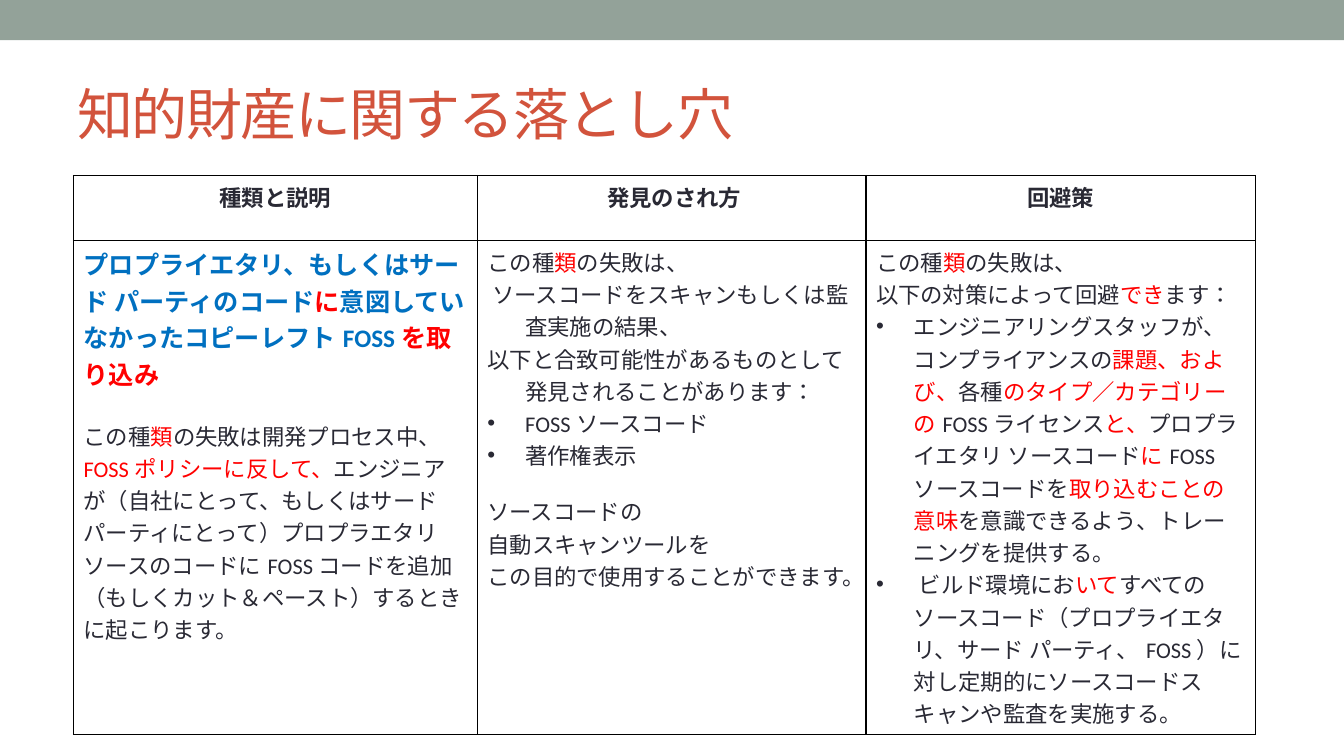
from lxml.etree import SubElement
from pptx import Presentation
from pptx.dml.color import RGBColor
from pptx.enum.lang import MSO_LANGUAGE_ID
from pptx.enum.shapes import MSO_SHAPE
from pptx.enum.text import MSO_ANCHOR, PP_ALIGN
from pptx.oxml.ns import qn
from pptx.util import Pt

INK, RED, BLUE = "292934", "FF0000", "0070C0"
BAND, TITLE, BORDER = "93A299", "D2533C", "000000"
HANGING = 27

TITLE_TEXT = "知的財産に関する落とし穴"
HEADERS = ["種類と説明", " 発見のされ方", "回避策"]
OPENING = ["この種", ("類", RED), "の失敗は、"]

PITFALL = [
    dict(text=["プロプライエタリ、もしくはサード パーティのコード", ("に", RED),
               "意図していなかったコピーレフトFOSS", ("を取り込み", RED)],
         size=18, bold=True, color=BLUE, hanging=0),
    dict(text=["この種", ("類", RED), "の失敗は開発プロセス中、",
               ("FOSSポリシーに反して、", RED),
               "エンジニアが（自社にとって、もしくはサード パーティにとって）"
               "プロプラエタリソースのコードにFOSSコードを追加"
               "（もしくカット＆ペースト）するときに起こります。"],
         hanging=0, before=20),
]
DISCOVERY = [
    dict(text=OPENING),
    dict(text=[" ソースコードをスキャンもしくは監査実施の結果、"]),
    dict(text=["以下と合致可能性があるものとして発見されることがあります："]),
    dict(text=["FOSSソースコード"], bullet=True),
    dict(text=["著作権表示"], bullet=True),
    dict(text=["ソースコードの"], before=17),
    dict(text=["自動スキャンツールを"]),
    dict(text=["この目的で使用することができます。"]),
]
AVOIDANCE = [
    dict(text=OPENING),
    dict(text=["以下の対策によって回避", ("でき", RED), "ます："]),
    dict(text=["エンジニアリングスタッフが、コンプライアンスの", ("課題、および、", RED),
               "各種", ("のタイプ／カテゴリーの", RED), "FOSSライセンス", ("と、", RED),
               "プロプライエタリ ソースコード", ("に", RED), "FOSSソースコードを",
               ("取り込むことの意味", RED), "を意識できるよう、トレーニングを提供する。"],
         bullet=True),
    dict(text=[" ビルド環境にお", ("いて", RED),
               "すべてのソースコード（プロプライエタリ、サード パーティ、FOSS）に対し"
               "定期的にソースコードスキャンや監査を実施する。"], bullet=True),
]
ROWS = [
    [[dict(text=[header], bold=True, align=PP_ALIGN.CENTER)] for header in HEADERS],
    [PITFALL, DISCOVERY, AVOIDANCE],
]

SLIDE_WIDTH, SLIDE_HEIGHT = 960, 540
TABLE_LEFT, TABLE_TOP = 52.56, 125.28
COLUMN_WIDTHS = [288.4, 277.6, 278]
ROW_HEIGHTS = [46.4, 353]


def rgb(color):
    return RGBColor.from_string(color)


def write(paragraph, text, size=16, color=INK, bold=False, align=PP_ALIGN.LEFT,
          hanging=HANGING, bullet=False, before=0, spacing=0):
    properties = paragraph._p.get_or_add_pPr()
    properties.set("marL", str(Pt(hanging)))
    properties.set("indent", str(-Pt(hanging)))
    if bullet:
        SubElement(properties, qn("a:buFont"), typeface="Arial")
        SubElement(properties, qn("a:buChar"), char="•")
    else:
        SubElement(properties, qn("a:buNone"))
    paragraph.alignment = align
    if before:
        paragraph.space_before = Pt(before)
    for piece in text:
        words, tint = (piece, color) if isinstance(piece, str) else piece
        run = paragraph.add_run()
        run.text = words
        font = run.font
        font.name, font.size, font.bold = "Calibri", Pt(size), bold
        font.color.rgb = rgb(tint)
        font.language_id = MSO_LANGUAGE_ID.JAPANESE
        if spacing:
            run._r.get_or_add_rPr().set("spc", str(spacing * 100))


def add_borders(cell):
    properties = cell._tc.get_or_add_tcPr()
    for side in ("lnL", "lnR", "lnT", "lnB"):
        line = SubElement(properties, qn(f"a:{side}"), w=str(Pt(1)))
        fill = SubElement(line, qn("a:solidFill"))
        SubElement(fill, qn("a:srgbClr"), val=BORDER)


def fill_cell(cell, paragraphs):
    add_borders(cell)
    cell.fill.background()
    cell.margin_left = cell.margin_right = Pt(7.2)
    cell.margin_top = cell.margin_bottom = Pt(3.6)
    frame = cell.text_frame
    for index, content in enumerate(paragraphs):
        write(frame.add_paragraph() if index else frame.paragraphs[0], **content)


presentation = Presentation()
presentation.slide_width, presentation.slide_height = Pt(SLIDE_WIDTH), Pt(SLIDE_HEIGHT)
slide = presentation.slides.add_slide(presentation.slide_layouts[6])

band = slide.shapes.add_shape(MSO_SHAPE.RECTANGLE, 0, 0, Pt(SLIDE_WIDTH), Pt(28.8))
band.shadow.inherit = False
band.fill.solid()
band.fill.fore_color.rgb = rgb(BAND)
band.line.fill.background()

title = slide.shapes.add_textbox(Pt(48), Pt(42), Pt(864), Pt(78))
title.text_frame.word_wrap = True
title.text_frame.vertical_anchor = MSO_ANCHOR.MIDDLE
write(title.text_frame.paragraphs[0], [TITLE_TEXT], size=40, color=TITLE,
      hanging=0, spacing=-1)

table = slide.shapes.add_table(
    len(ROWS), len(HEADERS), Pt(TABLE_LEFT), Pt(TABLE_TOP),
    Pt(sum(COLUMN_WIDTHS)), Pt(sum(ROW_HEIGHTS))).table
table.first_row = table.horz_banding = False
for column, width in zip(table.columns, COLUMN_WIDTHS):
    column.width = Pt(width)
for row, height, contents in zip(table.rows, ROW_HEIGHTS, ROWS):
    row.height = Pt(height)
    for cell, paragraphs in zip(row.cells, contents):
        fill_cell(cell, paragraphs)

presentation.save("out.pptx")
